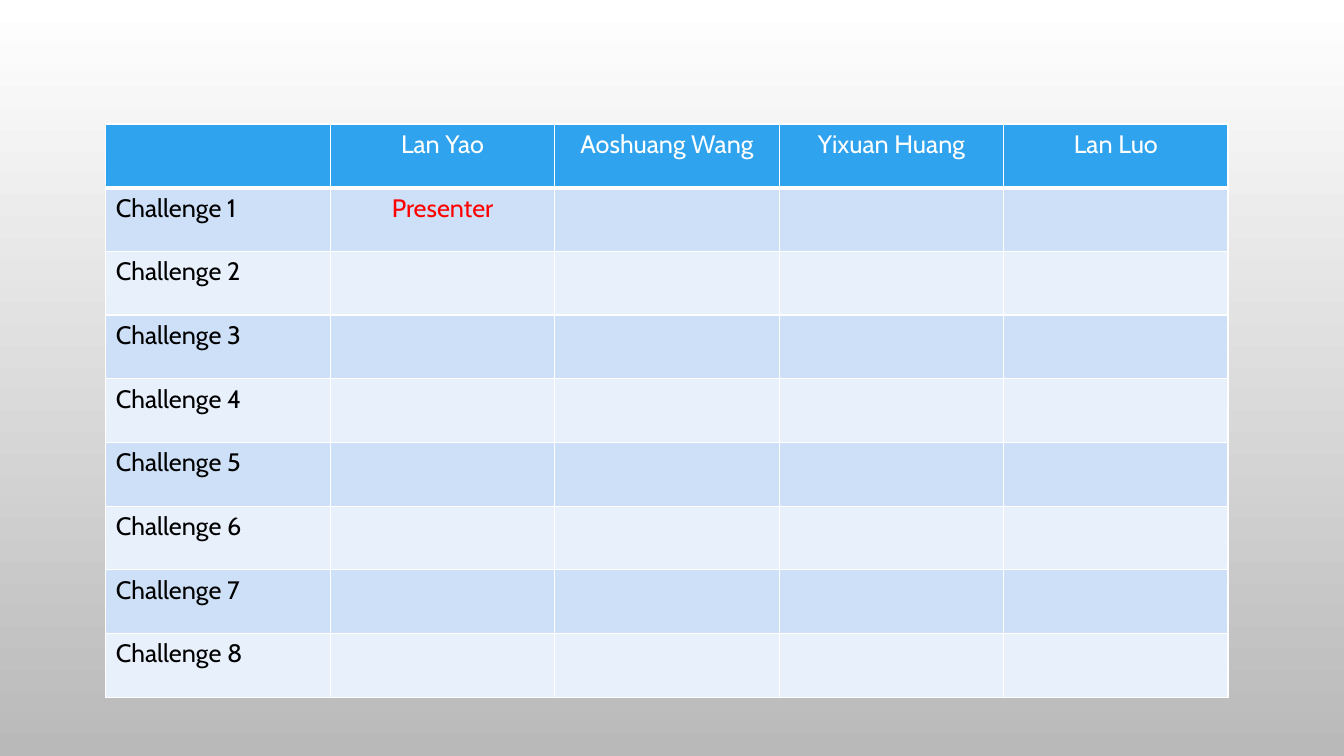
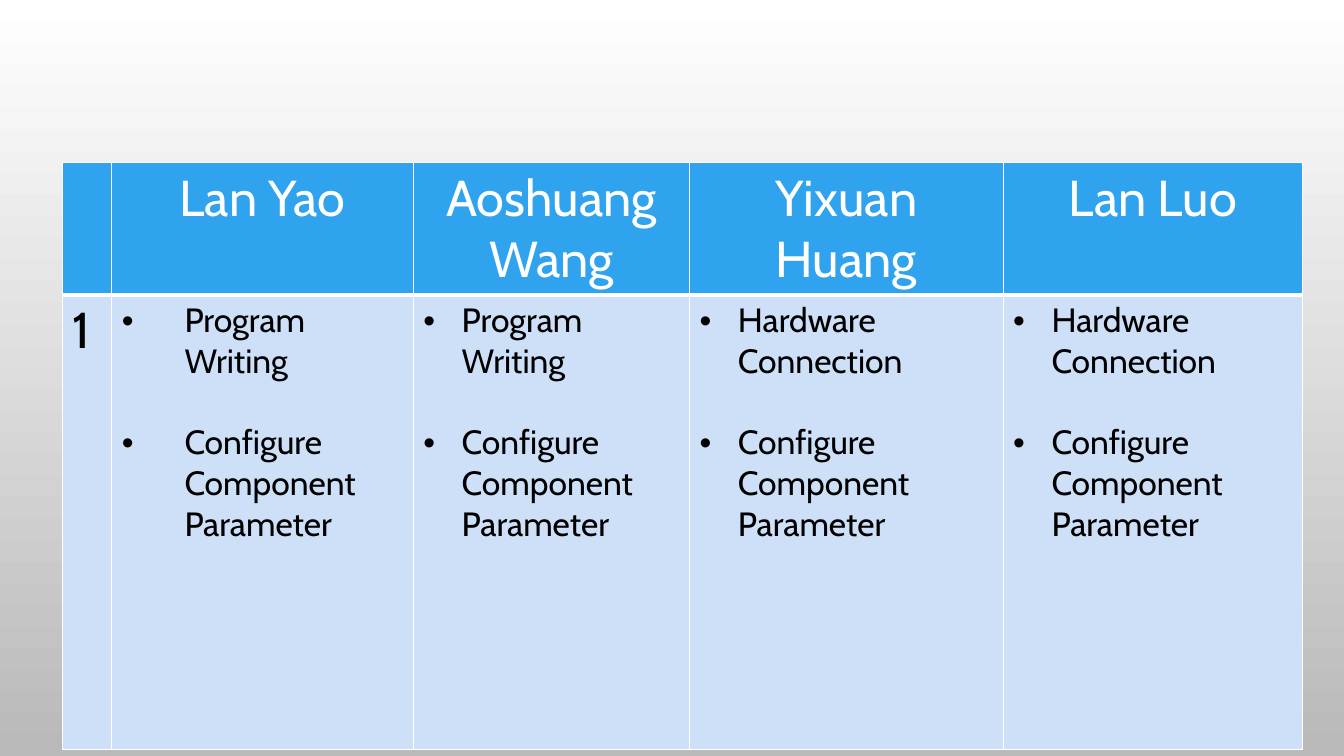
"""Build two slides that share out the challenge work among the team."""
from lxml import etree
from pptx import Presentation
from pptx.dml.color import RGBColor
from pptx.enum.text import PP_ALIGN as Align
from pptx.oxml.ns import qn
from pptx.util import Inches, Pt

FONT = "Cabin"
COLORS = {
    "header": "2FA3EE",
    "band_dark": "CDE0F8",
    "band_light": "E8F0FC",
    "rule": "FFFFFF",
    "header_text": "FFFFFF",
    "text": "000000",
    "presenter": "FF0000",
    "backdrop_top": "FFFFFF",
    "backdrop_bottom": "B9B9B9",
}
MEMBERS = ["Lan Yao", "Aoshuang Wang", "Yixuan Huang", "Lan Luo"]
CHALLENGE_COUNT = 8
TASKS = [
    ("Program Writing", 0.62),
    ("Program Writing", 0.38),
    ("Hardware Connection", 0.38),
    ("Hardware Connection", 0.38),
]
SHARED_TASK = "Configure Component Parameter"


def rgb(name):
    """Return the named palette colour."""
    return RGBColor.from_string(COLORS[name])


def set_backdrop(master):
    """Give every slide the vertical grey gradient."""
    fill = master.background.fill
    fill.gradient()
    fill.gradient_angle = 270
    for stop, name in zip(fill.gradient_stops, ("backdrop_top", "backdrop_bottom")):
        stop.color.rgb = rgb(name)


def set_borders(cell, bottom):
    """Draw white rules around a cell, with the given bottom width in points."""
    properties = cell._tc.get_or_add_tcPr()
    for index, side in enumerate("LRTB"):
        width = Pt(bottom if side == "B" else 1)
        line = etree.Element(qn(f"a:ln{side}"), w=str(width))
        solid = etree.SubElement(line, qn("a:solidFill"))
        etree.SubElement(solid, qn("a:srgbClr"), val=COLORS["rule"])
        properties.insert(index, line)


def add_bullet(paragraph, indent):
    """Give a paragraph a bullet with a hanging indent in inches."""
    properties = paragraph._p.get_or_add_pPr()
    properties.set("marL", str(Inches(indent)))
    properties.set("indent", str(-Inches(indent)))
    etree.SubElement(properties, qn("a:buFont"), typeface="Arial")
    etree.SubElement(properties, qn("a:buChar"), char="•")


def write(paragraph, text, size, color="text", align=Align.LEFT):
    """Add one formatted run to a paragraph."""
    paragraph.alignment = align
    run = paragraph.add_run()
    run.text = text
    run.font.name = FONT
    run.font.size = Pt(size)
    run.font.bold = False
    run.font.color.rgb = rgb(color)


def write_tasks(cell, tasks, indent):
    """List a member's tasks one line apart."""
    frame = cell.text_frame
    for index, task in enumerate(tasks):
        paragraph = frame.add_paragraph() if index else frame.paragraphs[0]
        if index:
            paragraph.space_before = Pt(29)
        add_bullet(paragraph, indent)
        write(paragraph, task, 24)


def add_team_table(slide, left, top, widths, heights, size):
    """Add a banded table headed by the team members."""
    table = slide.shapes.add_table(
        len(heights), len(widths), Inches(left), Inches(top),
        Inches(sum(widths)), Inches(sum(heights)),
    ).table
    for column, width in zip(table.columns, widths):
        column.width = Inches(width)
    for index, (row, height) in enumerate(zip(table.rows, heights)):
        row.height = Inches(height)
        band = "band_dark" if index % 2 else "band_light"
        for cell in row.cells:
            cell.fill.solid()
            cell.fill.fore_color.rgb = rgb(band if index else "header")
            set_borders(cell, bottom=1 if index else 3)
    for column, member in enumerate(MEMBERS, start=1):
        heading = table.cell(0, column).text_frame.paragraphs[0]
        write(heading, member, size, "header_text", Align.CENTER)
    return table


def build_presenters(slide):
    """Show who presents each challenge."""
    columns, rows = len(MEMBERS) + 1, CHALLENGE_COUNT + 1
    table = add_team_table(
        slide, 1.05, 1.23, [11.13 / columns] * columns, [5.69 / rows] * rows, 18)
    for number in range(1, rows):
        label = table.cell(number, 0).text_frame.paragraphs[0]
        write(label, f"Challenge {number}", 18)
    presenter = table.cell(1, 1).text_frame.paragraphs[0]
    write(presenter, "Presenter", 18, "presenter", Align.CENTER)


def build_tasks(slide):
    """Show what each member does in the first challenge."""
    table = add_team_table(
        slide, 0.62, 1.61, [0.49, 2.99, 2.74, 3.11, 2.97], [1.31, 4.51], 36)
    write(table.cell(1, 0).text_frame.paragraphs[0], "1", 36)
    for column, (task, indent) in enumerate(TASKS, start=1):
        write_tasks(table.cell(1, column), [task, SHARED_TASK], indent)


def main():
    """Build and save the presentation."""
    deck = Presentation()
    deck.slide_width, deck.slide_height = Inches(13.33), Inches(7.5)
    set_backdrop(deck.slide_master)
    blank = deck.slide_layouts.get_by_name("Blank")
    for build in (build_presenters, build_tasks):
        build(deck.slides.add_slide(blank))
    deck.save("out.pptx")


if __name__ == "__main__":
    main()
